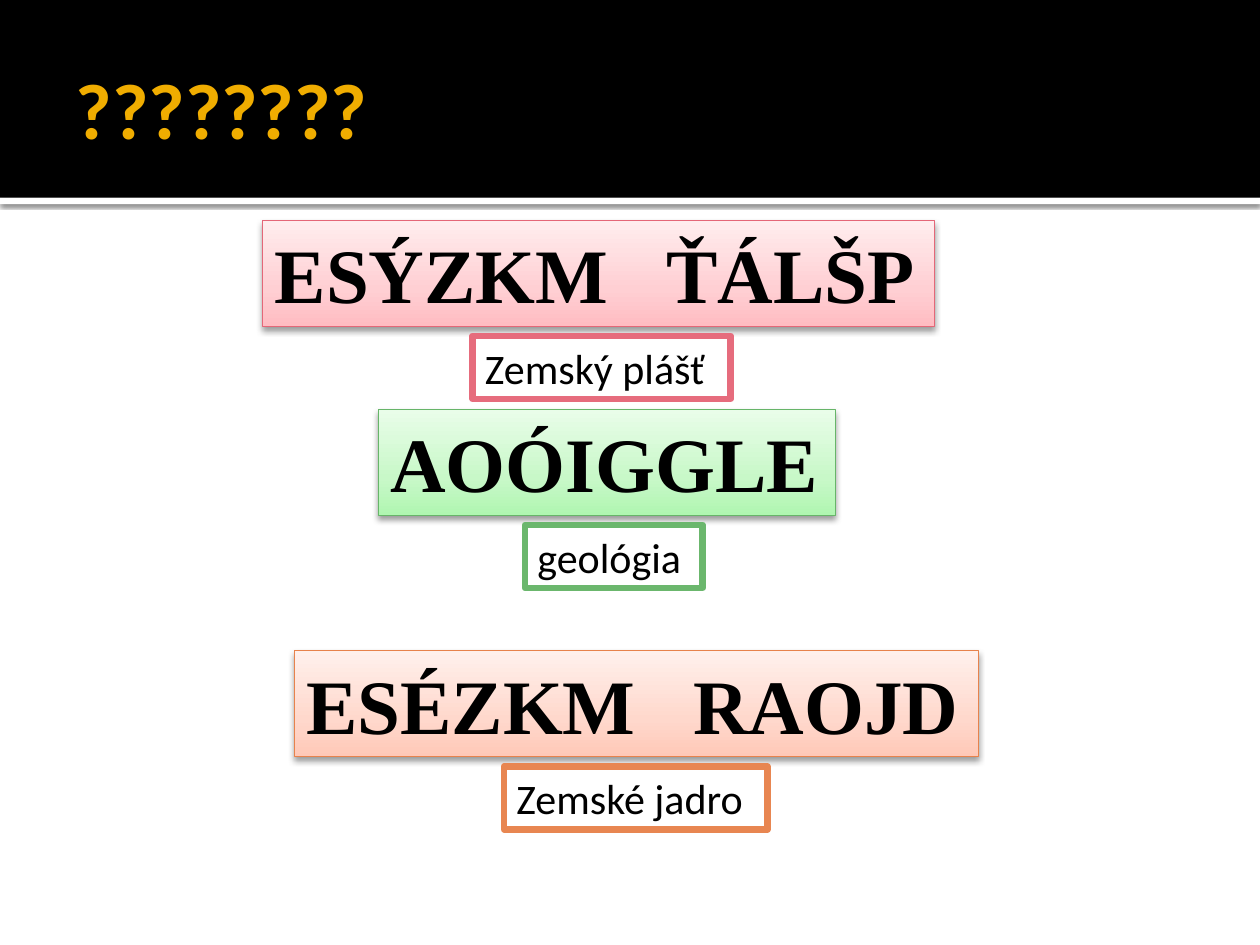
from dataclasses import dataclass

from lxml import etree
from pptx import Presentation
from pptx.dml.color import RGBColor
from pptx.enum.shapes import MSO_SHAPE
from pptx.enum.text import MSO_ANCHOR, MSO_AUTO_SIZE, PP_ALIGN
from pptx.oxml.ns import qn
from pptx.util import Inches, Pt

RECT = MSO_SHAPE.RECTANGLE
LEFT = PP_ALIGN.LEFT
TOP, MIDDLE = MSO_ANCHOR.TOP, MSO_ANCHOR.MIDDLE
NO_FIT, GROW = MSO_AUTO_SIZE.NONE, MSO_AUTO_SIZE.SHAPE_TO_FIT_TEXT

WIDTH, HEIGHT = Inches(10), Inches(7.5)
CELL = Inches(1) / 12
ANSWER_DROP = 11  # rows from the top of a puzzle to its answer


@dataclass(frozen=True)
class Theme:
    black: str = "000000"
    white: str = "FFFFFF"
    gold: str = "F0AD00"
    body_font: str = "Calibri"
    puzzle_font: str = "Times New Roman"
    title_size: float = 45
    puzzle_size: float = 44
    answer_size: float = 24


THEME = Theme()

# words, (column, row), width, second word's tab, gradient, line,
# answer, answer's column offset, answer's width, answer's line
PUZZLES = [
    ("ESÝZKM\tŤÁLŠP", (25, 21), 5.33, 3.11, ("FFBCC2", "FFCFD3", "FFEDEE"), "E46778",
     "Zemský plášť", 20, 2.05, "E66C7D"),
    ("AOÓIGGLE", (36, 39), 3.63, None, ("B0F6B1", "C8F8C8", "E9FDE9"), "67B569",
     "geológia", 14, 1.41, "6BB76D"),
    ("ESÉZKM\tRAOJD", (28, 62), 5.43, 3.07, ("FFC8B7", "FFD8CC", "FFF0EC"), "E7824C",
     "Zemské jadro", 20, 2.09, "E88651"),
]


def add_rect(slide, box, fill=None, line=None, line_width=0.5):
    sp = slide.shapes.add_shape(RECT, *(round(v) for v in box))
    if fill:
        sp.fill.solid()
        sp.fill.fore_color.rgb = RGBColor.from_string(fill)
    if line:
        sp.line.color.rgb = RGBColor.from_string(line)
        sp.line.width = Pt(line_width)
    else:
        sp.line.fill.background()
    sp.shadow.inherit = False
    return sp


def add_color(parent, color):
    return etree.SubElement(parent, qn("a:srgbClr"), val=color)


def add_shadow(sp, blur, dist, alpha):
    effects = sp._element.spPr.find(qn("a:effectLst"))
    shadow = etree.SubElement(effects, qn("a:outerShdw"), blurRad=str(Pt(blur)),
                              dist=str(Pt(dist)), dir="5400000", rotWithShape="0")
    color = add_color(shadow, THEME.black)
    etree.SubElement(color, qn("a:alpha"), val=str(alpha * 1000))


def set_gradient(sp, colors):
    """Fill upwards with three colours."""
    sp.fill.gradient()
    sp.fill.gradient_angle = 90
    stops = sp._element.spPr.find(qn("a:gradFill")).find(qn("a:gsLst"))
    stops.clear()
    for share, color in zip((0, 35, 100), colors):
        add_color(etree.SubElement(stops, qn("a:gs"), pos=str(share * 1000)), color)


def set_text(sp, text, size, font=THEME.body_font, color=THEME.black, bold=False,
             anchor=TOP, fit=GROW, right=0.0, tab=None):
    tf = sp.text_frame
    tf.word_wrap = True
    tf.auto_size = fit
    tf.vertical_anchor = anchor
    tf.margin_left, tf.margin_right = Inches(0.1), Inches(right)
    tf.margin_top = tf.margin_bottom = Inches(0.05)
    p = tf.paragraphs[0]
    p.alignment = LEFT
    if tab:
        tabs = etree.SubElement(p._p.get_or_add_pPr(), qn("a:tabLst"))
        etree.SubElement(tabs, qn("a:tab"), pos=str(Inches(tab)), algn="l")
    r = p.add_run()
    r.text = text
    r.font.size = Pt(size)
    r.font.name = font
    r.font.bold = bold
    r.font.color.rgb = RGBColor.from_string(color)


def add_header(slide, box):
    left, top, width, height = box
    rule = add_rect(slide, (left, top + height, width, Inches(0.05)), THEME.white)
    add_shadow(rule, 2.5, 0.8, 60)
    add_rect(slide, box, THEME.black)
    title = slide.shapes.title
    slide.shapes._spTree.append(title._element)  # in front of the band
    title.left, title.top = round(left + width * 0.05), top + Inches(0.17)
    title.width, title.height = round(width * 0.9), Inches(1.37)
    set_text(title, "????????", THEME.title_size, color=THEME.gold, bold=True,
             anchor=MIDDLE, fit=NO_FIT, right=0.05)


def add_puzzle(slide, box, words, tab, gradient, line):
    sp = add_rect(slide, box, line=line)
    set_gradient(sp, gradient)
    add_shadow(sp, 3.5, 2, 38)
    set_text(sp, words, THEME.puzzle_size, THEME.puzzle_font, bold=True, tab=tab)


def add_answer(slide, box, text, line):
    sp = add_rect(slide, box, THEME.white, line, 3.78)
    set_text(sp, text, THEME.answer_size)


def main():
    prs = Presentation()
    prs.slide_width, prs.slide_height = WIDTH, HEIGHT
    slide = prs.slides.add_slide(prs.slide_layouts[5])
    add_header(slide, (0, 0, WIDTH, Inches(1.57)))
    for (words, (col, row), width, tab, gradient, line,
         answer, offset, answer_width, answer_line) in PUZZLES:
        add_puzzle(slide, (col * CELL, row * CELL, Inches(width), Inches(0.84)),
                   words, tab, gradient, line)
        add_answer(slide, ((col + offset) * CELL, (row + ANSWER_DROP) * CELL,
                           Inches(answer_width), Inches(0.5)), answer, answer_line)
    prs.save("out.pptx")


if __name__ == "__main__":
    main()
